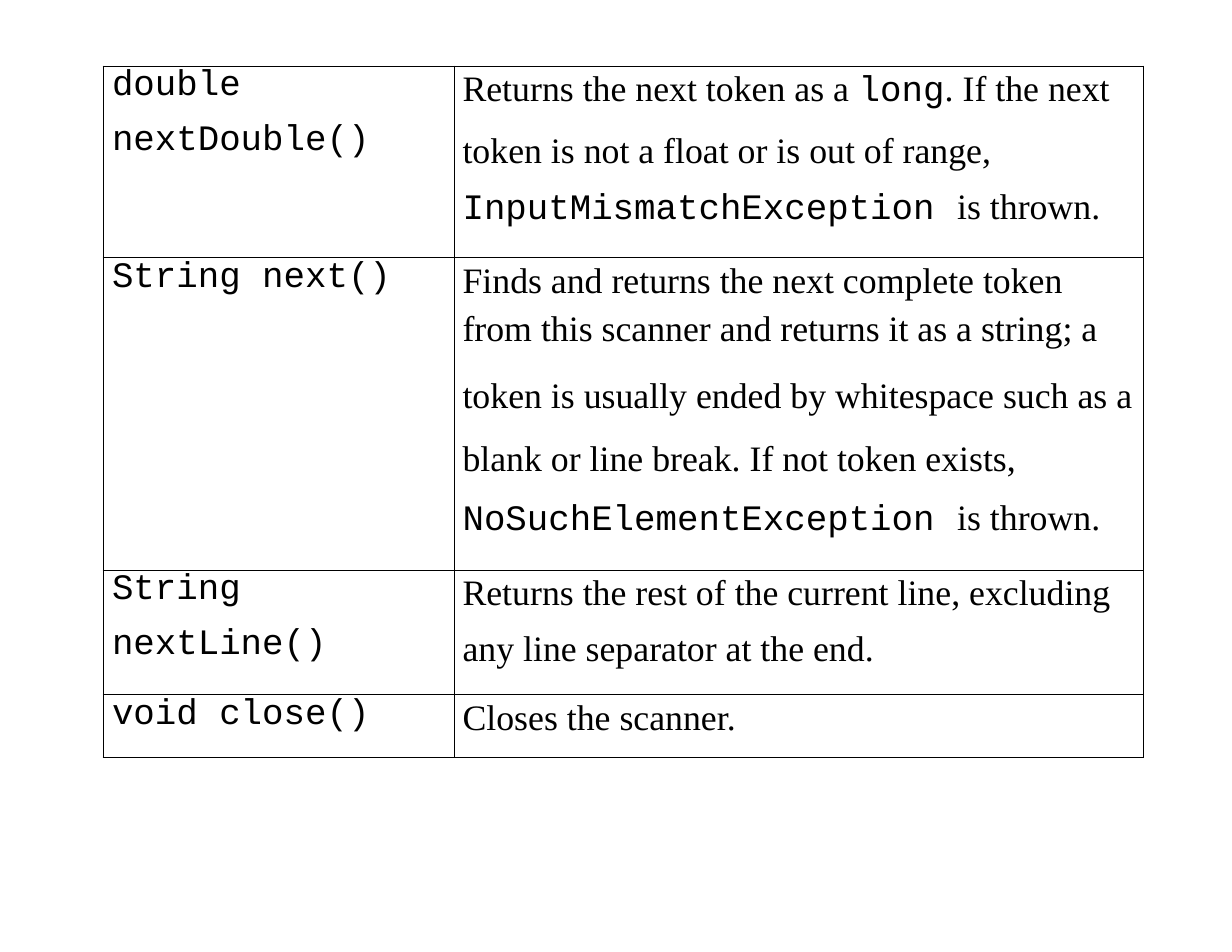
from lxml import etree
from pptx import Presentation
from pptx.dml.color import RGBColor
from pptx.oxml.ns import qn
from pptx.util import Inches, Pt

COLORS = {"ink": "000000"}
MONO, SERIF = "Courier New", "Times New Roman"
TEXT_SIZE = Pt(23)
BORDER_WIDTH = Pt(0.75)
COLUMNS = [3.14, 6.15]
ROWS = [1.71, 2.79, 1.11, 0.56]
INDENTS = [0.08, 0.07]

# Each cell is a list of paragraphs: (format, spans)
TIGHT = {"line_spacing": 0.97}
OPEN = {"line_spacing": 1.1}
METHODS = [
    [
        [(TIGHT, [("double", MONO)]),
         ({"space_before": Pt(9.8)}, [("nextDouble()", MONO)])],
        [({"line_spacing": 1.08},
          [("Returns the next token as a ", SERIF), ("long", MONO),
           (". If the next", SERIF)]),
         ({"space_before": Pt(12.3)},
          [("token is not a float or is out of range,", SERIF)]),
         ({"space_before": Pt(10.3)},
          [("InputMismatchException ", MONO), ("is thrown.", SERIF)])],
    ],
    [
        [(TIGHT, [("String next()", MONO)])],
        [(OPEN, [("Finds and returns the next complete token", SERIF)]),
         ({"space_before": Pt(5)},
          [("from this scanner and returns it as a string; a", SERIF)]),
         ({"line_spacing": 1.59, "space_before": Pt(2.6)},
          [("token is usually ended by whitespace such as a  blank or line "
            "break. If not token exists,", SERIF)]),
         ({"space_before": Pt(12.2)},
          [("NoSuchElementException ", MONO), ("is thrown.", SERIF)])],
    ],
    [
        [(TIGHT, [("String", MONO)]),
         ({"space_before": Pt(9.8)}, [("nextLine()", MONO)])],
        [(OPEN, [("Returns the rest of the current line, excluding", SERIF)]),
         ({"space_before": Pt(10.1)},
          [("any line separator at the end.", SERIF)])],
    ],
    [
        [({"line_spacing": 1.0}, [("void close()", MONO)])],
        [(OPEN, [("Closes the scanner.", SERIF)])],
    ],
]


def add_borders(cell):
    properties = cell._tc.get_or_add_tcPr()
    for position, side in enumerate(("lnL", "lnR", "lnT", "lnB")):
        line = etree.Element(qn(f"a:{side}"), w=str(BORDER_WIDTH))
        fill = etree.SubElement(line, qn("a:solidFill"))
        etree.SubElement(fill, qn("a:srgbClr"), val=COLORS["ink"])
        properties.insert(position, line)


# Page
deck = Presentation()
deck.slide_width, deck.slide_height = Inches(11), Inches(8.5)
page = deck.slides.add_slide(deck.slide_layouts[6])

# Table grid
table = page.shapes.add_table(
    len(ROWS), len(COLUMNS), Inches(0.92), Inches(0.59),
    Inches(sum(COLUMNS)), Inches(sum(ROWS))).table
table.first_row = table.horz_banding = False
for column, width in zip(table.columns, COLUMNS):
    column.width = Inches(width)
for row, height in zip(table.rows, ROWS):
    row.height = Inches(height)

# Cells
for row, method in zip(table.rows, METHODS):
    for cell, paragraphs, indent in zip(row.cells, method, INDENTS):
        cell.fill.background()
        add_borders(cell)
        for side in ("left", "right", "top", "bottom"):
            setattr(cell, f"margin_{side}", 0)
        frame = cell.text_frame
        for index, (style, spans) in enumerate(paragraphs):
            para = frame.add_paragraph() if index else frame.paragraphs[0]
            para._p.get_or_add_pPr().set("marL", str(Inches(indent)))
            for name, value in style.items():
                setattr(para, name, value)
            for text, typeface in spans:
                span = para.add_run()
                span.text = text
                for name, value in {"name": typeface, "size": TEXT_SIZE}.items():
                    setattr(span.font, name, value)
                span.font.color.rgb = RGBColor.from_string(COLORS["ink"])

deck.save("out.pptx")
